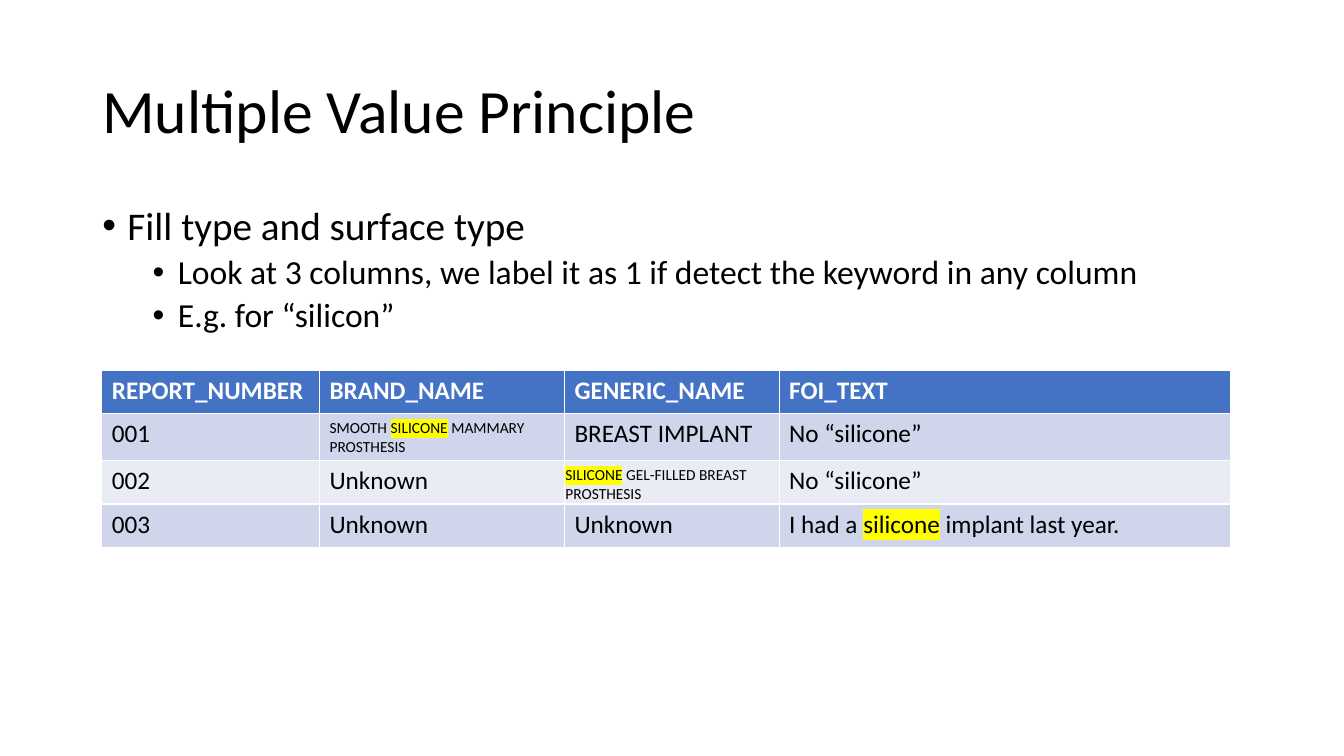
"""Build the Multiple Value Principle slide."""
from lxml import etree
from pptx import Presentation
from pptx.dml.color import RGBColor
from pptx.enum.text import MSO_ANCHOR
from pptx.oxml.ns import qn
from pptx.util import Pt

MIDDLE, BOTTOM = MSO_ANCHOR.MIDDLE, MSO_ANCHOR.BOTTOM
BLACK = RGBColor(0, 0, 0)
WHITE = RGBColor(255, 255, 255)
BLUE = RGBColor(0x44, 0x72, 0xC4)
DARK = RGBColor(0xCF, 0xD5, 0xEA)
LIGHT = RGBColor(0xE9, 0xEB, 0xF5)
YELLOW = RGBColor(255, 255, 0)


def write(para, text, size, color=BLACK, bold=False):
    for i, part in enumerate(text.split("*")):
        if not part:
            continue
        run = para.add_run()
        run.text = part
        run.font.color.rgb = color
        if i % 2:
            mark = etree.SubElement(run.font._element, qn("a:highlight"))
            etree.SubElement(mark, qn("a:srgbClr"), val=str(YELLOW))
        for name, value in {"size": Pt(size), "bold": bold, "name": "Calibri"}.items():
            setattr(run.font, name, value)


def add_box(top, height):
    frame = slide.shapes.add_textbox(Pt(66), Pt(top), Pt(828), Pt(height)).text_frame
    frame.word_wrap = True
    return frame


deck = Presentation()
deck.slide_width, deck.slide_height = Pt(960), Pt(540)
slide = deck.slides.add_slide(deck.slide_layouts[6])

title = add_box(28.75, 104.4)
title.vertical_anchor = MIDDLE
title.paragraphs[0].line_spacing = 0.9
write(title.paragraphs[0], "Multiple Value Principle", 44)

points = [
    (0, "Fill type and surface type"),
    (1, "Look at 3 columns, we label it as 1 if detect the keyword in any column"),
    (1, "E.g. for “silicon”"),
]
body = add_box(143.75, 342.6)
for i, (level, text) in enumerate(points):
    para = body.add_paragraph() if i else body.paragraphs[0]
    style = {"level": level, "line_spacing": 0.9, "space_before": Pt(10 - 5 * level)}
    for name, value in style.items():
        setattr(para, name, value)
    props = para._p.get_or_add_pPr()
    props.set("marL", str(Pt(18 + 36 * level)))
    props.set("indent", str(Pt(-18)))
    etree.SubElement(props, qn("a:buFont"), typeface="Arial")
    etree.SubElement(props, qn("a:buChar"), char="•")
    write(para, text, 28 - 4 * level)

rows = [
    ["REPORT_NUMBER", "BRAND_NAME", "GENERIC_NAME", "FOI_TEXT"],
    ["001", "SMOOTH *SILICONE* MAMMARY PROSTHESIS", "BREAST IMPLANT", "No “silicone”"],
    ["002", "Unknown", "*SILICONE* GEL-FILLED BREAST PROSTHESIS", "No “silicone”"],
    ["003", "Unknown", "Unknown", "I had a *silicone* implant last year."],
]
fills = [BLUE, DARK, LIGHT, DARK]
widths = [155.5, 175, 153.4, 322.5]
grid = slide.shapes.add_table(4, 4, Pt(72.7), Pt(264.4), Pt(sum(widths)), Pt(124)).table
for col, width in zip(grid.columns, widths):
    col.width = Pt(width)
for r, texts in enumerate(rows):
    grid.rows[r].height = Pt(31)
    for c, text in enumerate(texts):
        cell = grid.cell(r, c)
        cell.fill.solid()
        cell.fill.fore_color.rgb = fills[r]
        size = 11 if "PROSTHESIS" in text else 18
        write(cell.text_frame.paragraphs[0], text, size, BLACK if r else WHITE, r == 0)

tight = {"vertical_anchor": BOTTOM, "margin_left": Pt(0.7), "margin_top": Pt(0.7),
         "margin_right": Pt(0.7), "margin_bottom": Pt(0)}
for name, value in tight.items():
    setattr(grid.cell(2, 2), name, value)

deck.save("out.pptx")
